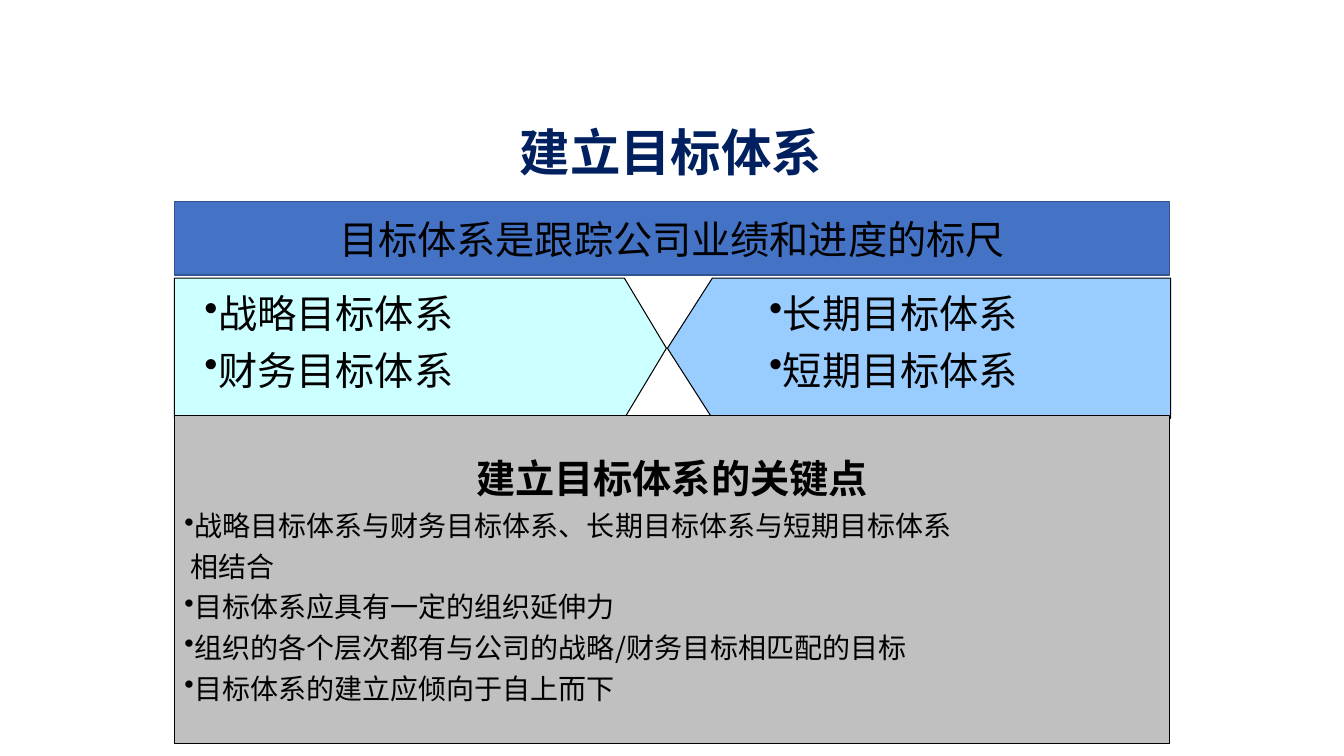
from dataclasses import dataclass

import lxml.etree
import pptx
import pptx.dml.color
import pptx.enum.shapes
import pptx.enum.text
import pptx.oxml.ns
import pptx.util

Inches = pptx.util.Inches
Kind = pptx.enum.shapes.MSO_SHAPE
Align = pptx.enum.text.PP_ALIGN
Anchor = pptx.enum.text.MSO_ANCHOR
qn = pptx.oxml.ns.qn


@dataclass(frozen=True)
class Theme:
    font: str = "Noto Sans CJK SC"
    navy: str = "002060"
    black: str = "000000"
    blue: str = "4472C4"
    edge: str = "325491"
    sky: str = "99CCFF"
    aqua: str = "CCFFFF"
    gray: str = "C0C0C0"
    title: int = 36
    head: int = 28
    body: int = 20


@dataclass(frozen=True)
class Box:
    left: float
    top: float
    width: float
    height: float

    def size(self) -> tuple:
        return tuple(Inches(n) for n in (self.left, self.top, self.width, self.height))


@dataclass(frozen=True)
class Arrow:
    plate: Box
    notch: float
    turn: int
    fill: str
    label: Box
    goals: tuple[str, ...]


THEME = Theme()
LEFT, WIDTH = 1.73, 9.87
ARROWS = (
    Arrow(Box(6.62, 2.76, 4.99, 1.39), 0.32, 180, THEME.sky,
          Box(7.53, 2.82, 3.77, 1.24), ("长期目标体系", "短期目标体系")),
    Arrow(Box(LEFT, 2.76, 4.88, 1.39), 0.3, 0, THEME.aqua,
          Box(1.93, 2.82, 4.17, 1.24), ("战略目标体系", "财务目标体系")),
)
POINTS = (
    ("战略目标体系与财务目标体系、长期目标体系与短期目标体系", True),
    ("相结合", False),
    ("目标体系应具有一定的组织延伸力", True),
    ("组织的各个层次都有与公司的战略/财务目标相匹配的目标", True),
    ("目标体系的建立应倾向于自上而下", True),
)


def color(code: str):
    return pptx.dml.color.RGBColor.from_string(code)


def write(frame, text: str, *, size: int, ink: str = THEME.black, bold: bool = False,
          align=Align.LEFT, bullet: bool = False, gap: float = 0, inset: float = 0) -> None:
    """Fill the empty first paragraph, or add one after it."""
    para = frame.paragraphs[0]
    if para.runs:
        para = frame.add_paragraph()
    props = para._p.get_or_add_pPr()
    if inset:
        props.set("marL", str(Inches(inset)))
    if bullet:
        lxml.etree.SubElement(props, qn("a:buChar")).set("char", "•")
    para.alignment = align
    para.space_before = pptx.util.Pt(gap)
    run = para.add_run()
    run.text = text
    font = run.font
    font.name, font.size, font.bold = THEME.font, pptx.util.Pt(size), bold
    font.color.rgb = color(ink)
    east = lxml.etree.SubElement(run._r.get_or_add_rPr(), qn("a:ea"))
    east.set("typeface", THEME.font)


def draw(slide, kind, box: Box, fill: str, line: str = THEME.black, width: float = 0.75):
    shape = slide.shapes.add_shape(kind, *box.size())
    shape.shadow.inherit = False
    shape.fill.solid()
    shape.fill.fore_color.rgb = color(fill)
    shape.line.color.rgb = color(line)
    shape.line.width = pptx.util.Pt(width)
    frame = shape.text_frame
    frame.word_wrap = True
    frame.vertical_anchor = Anchor.MIDDLE
    return shape


def title(slide) -> None:
    shape = slide.shapes.title
    shape.left, shape.top, shape.width, shape.height = Box(1.88, 1.15, 9.55, 0.71).size()
    frame = shape.text_frame
    frame.auto_size = pptx.enum.text.MSO_AUTO_SIZE.NONE
    frame.vertical_anchor = Anchor.MIDDLE
    write(frame, "建立目标体系", size=THEME.title, ink=THEME.navy, bold=True, align=Align.CENTER)


def arrow(slide, item: Arrow) -> None:
    plate = draw(slide, Kind.PENTAGON, item.plate, item.fill)
    plate.adjustments[0] = item.notch
    plate.rotation = item.turn


def goals(slide, item: Arrow) -> None:
    frame = slide.shapes.add_textbox(*item.label.size()).text_frame
    frame.word_wrap = True
    for row, goal in enumerate(item.goals):
        write(frame, goal, size=THEME.head, bullet=True, gap=7 if row else 0)


def main() -> None:
    deck = pptx.Presentation()
    deck.slide_width, deck.slide_height = Inches(13.33), Inches(7.5)
    slide = deck.slides.add_slide(deck.slide_layouts[5])
    title(slide)
    for item in ARROWS:
        arrow(slide, item)
    for item in reversed(ARROWS):
        goals(slide, item)

    banner = draw(slide, Kind.RECTANGLE, Box(LEFT, 2, WIDTH, 0.73), THEME.blue, THEME.edge, 1)
    write(banner.text_frame, "目标体系是跟踪公司业绩和进度的标尺", size=THEME.head, align=Align.CENTER)

    panel = draw(slide, Kind.RECTANGLE, Box(LEFT, 4.12, WIDTH, 3.26), THEME.gray).text_frame
    write(panel, "建立目标体系的关键点", size=THEME.head, bold=True, align=Align.CENTER)
    for text, bullet in POINTS:
        write(panel, text, size=THEME.body, bullet=bullet, gap=5, inset=0 if bullet else 0.06)
    deck.save("out.pptx")


if __name__ == "__main__":
    main()
